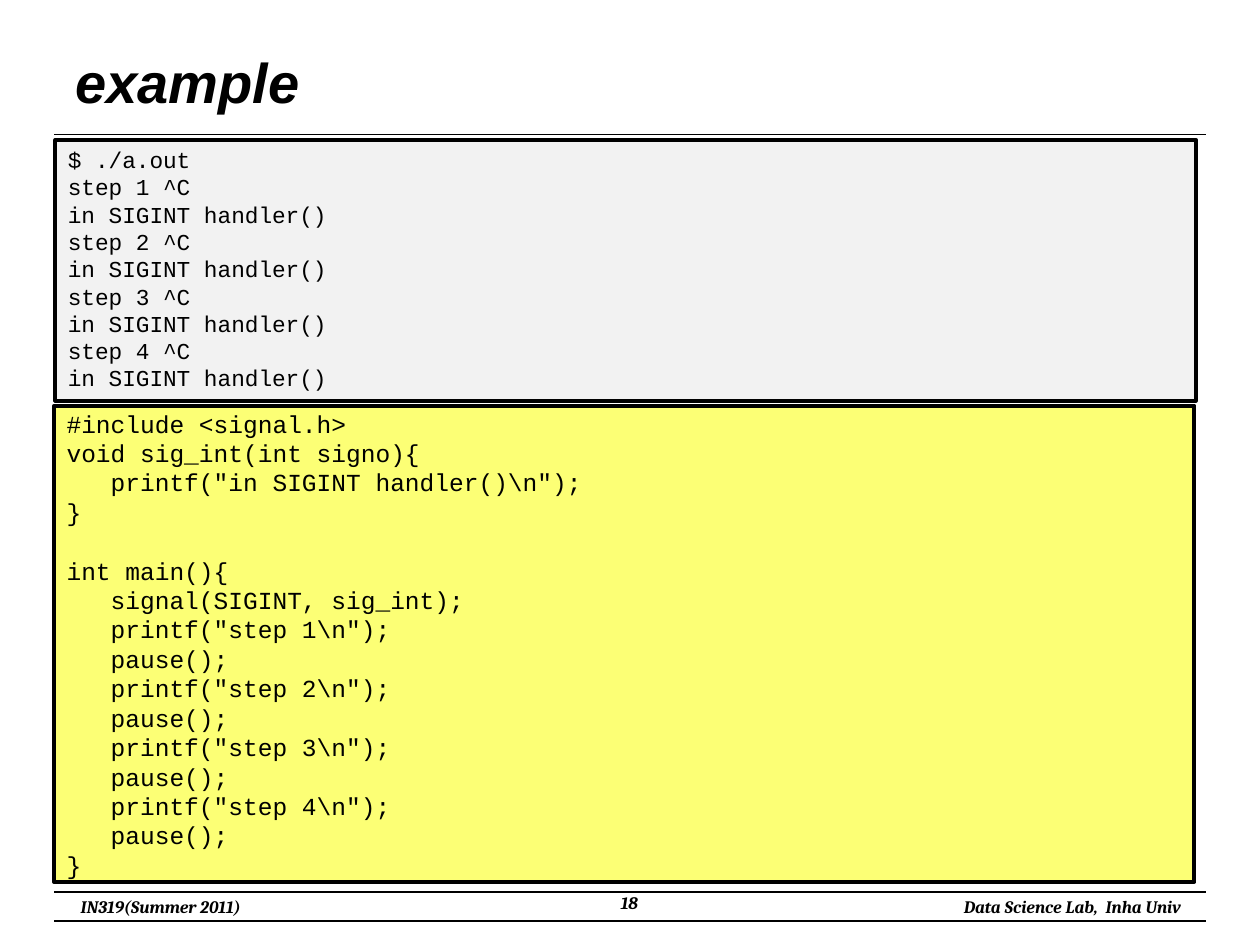
from lxml.etree import SubElement as Sub
from pptx import Presentation
from pptx.dml.color import RGBColor
from pptx.enum.shapes import MSO_CONNECTOR as Link, MSO_SHAPE as Kind
from pptx.enum.text import MSO_ANCHOR as Anchor, PP_ALIGN as Align
from pptx.oxml.ns import qn
from pptx.util import Inches, Pt

WIDE, HIGH = Inches(10), Inches(7.5)
INK = "000000"
LEFT, RIGHT = 4.3, 95.7
MONO = dict(face="Courier New", bold=False, slant=False)
NOTE = dict(face="Cambria", size=10)

SHELL = ["$ ./a.out"]
STEPS = []
for step in range(1, 5):
    SHELL += [f"step {step} ^C", "in SIGINT handler()"]
    STEPS += [rf'   printf("step {step}\n");', "   pause();"]

HANDLER = [
    "#include <signal.h>",
    "void sig_int(int signo){",
    r'   printf("in SIGINT handler()\n");',
    "}",
]
MAIN = ["int main(){", "   signal(SIGINT, sig_int);", *STEPS, "}"]


def color(code):
    return RGBColor.from_string(code)


def across(share):
    return round(WIDE * share / 100)


def down(share):
    return round(HIGH * share / 100)


def area(x, y, w, h):
    return across(x), down(y), across(w), down(h)


def write(shape, *blocks, face="Arial", size=32, bold=True, slant=True,
          align=Align.LEFT, anchor=Anchor.TOP, pitch=None):
    frame = shape.text_frame
    frame.word_wrap = True
    frame.vertical_anchor = anchor
    for part, block in enumerate(blocks):
        for row, text in enumerate(block):
            first = part == row == 0
            para = frame.paragraphs[0] if first else frame.add_paragraph()
            para.alignment = align
            if pitch:
                para.line_spacing = Pt(pitch)
            if part and row == 0:
                para.space_before = Pt(pitch)
            run = para.add_run()
            run.text = text
            font = run.font
            font.name, font.size = face, Pt(size)
            font.bold, font.italic = bold, slant
            font.color.rgb = color(INK)


def label(slide, box, text, **style):
    write(slide.shapes.add_textbox(*area(*box)), [text], **style)


def panel(slide, box, fill, *blocks, size, **style):
    shape = slide.shapes.add_shape(Kind.RECTANGLE, *area(*box))
    shape.shadow.inherit = False
    shape.fill.solid()
    shape.fill.fore_color.rgb = color(fill)
    shape.line.color.rgb = color(INK)
    shape.line.width = Pt(2.25)
    write(shape, *blocks, size=size, pitch=size * 1.2, **MONO, **style)


def rule(slide, y):
    line = slide.shapes.add_connector(
        Link.STRAIGHT, across(LEFT), down(y), across(RIGHT), down(y))
    line.line.color.rgb = color(INK)
    line.line.width = Pt(0.75)
    Sub(line._element.spPr, qn("a:effectLst"))


def main():
    deck = Presentation()
    deck.slide_width, deck.slide_height = WIDE, HIGH
    slide = deck.slides.add_slide(deck.slide_layouts[6])
    for y in (14.27, 94.4, 97.47):
        rule(slide, y)
    label(slide, (4.1, 94.13, 17.3, 3.6), "IN319(Summer 2011)",
          align=Align.CENTER, **NOTE)
    label(slide, (71.6, 94.13, 23.1, 3.6), "Data Science Lab,  Inha Univ",
          align=Align.RIGHT, **NOTE)
    label(slide, (5, 4, 90, 9.2), "example", anchor=Anchor.MIDDLE)
    label(slide, (38.3, 93.73, 23.3, 4.13), "18", align=Align.CENTER, **NOTE)
    panel(slide, (LEFT, 42.93, 90.5, 50.4), "FCFF75", HANDLER, MAIN,
          size=14, anchor=Anchor.MIDDLE)
    panel(slide, (4.4, 14.8, 90.5, 27.6), "F2F2F2", SHELL, size=13)
    deck.save("out.pptx")


if __name__ == "__main__":
    main()
